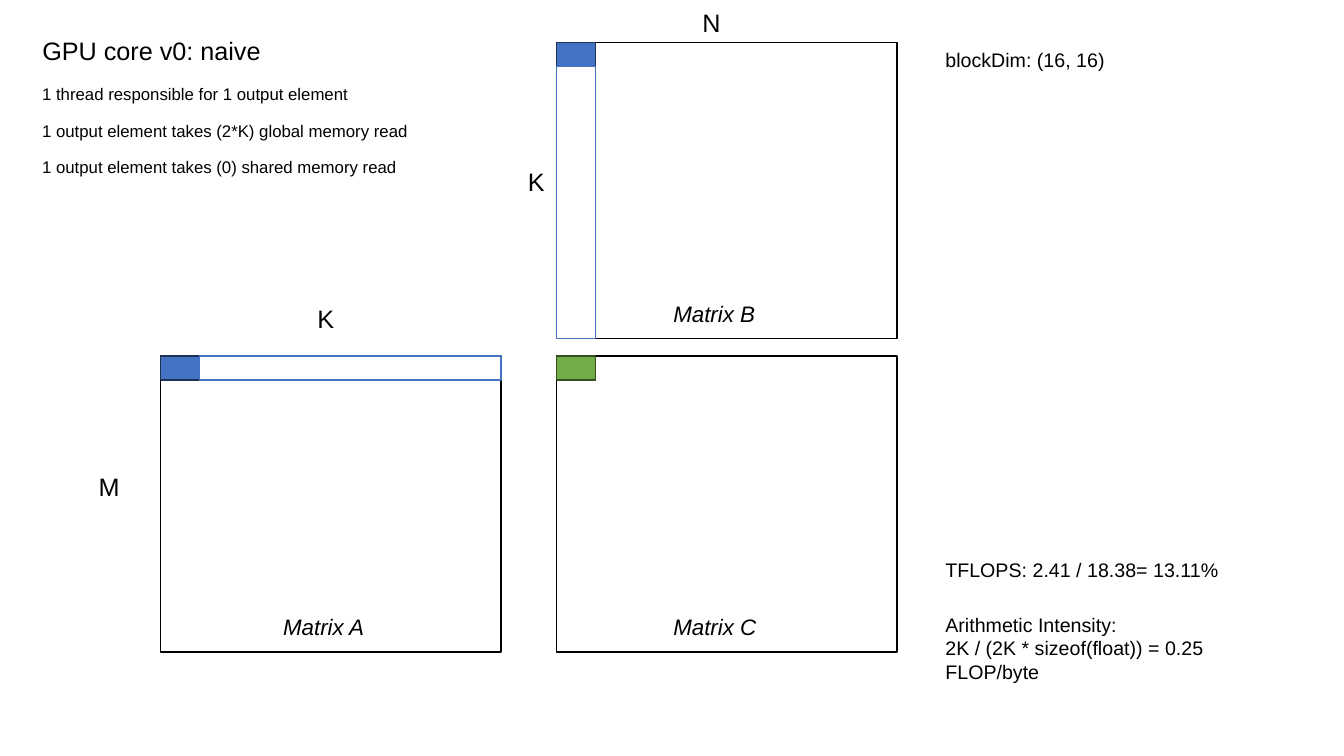
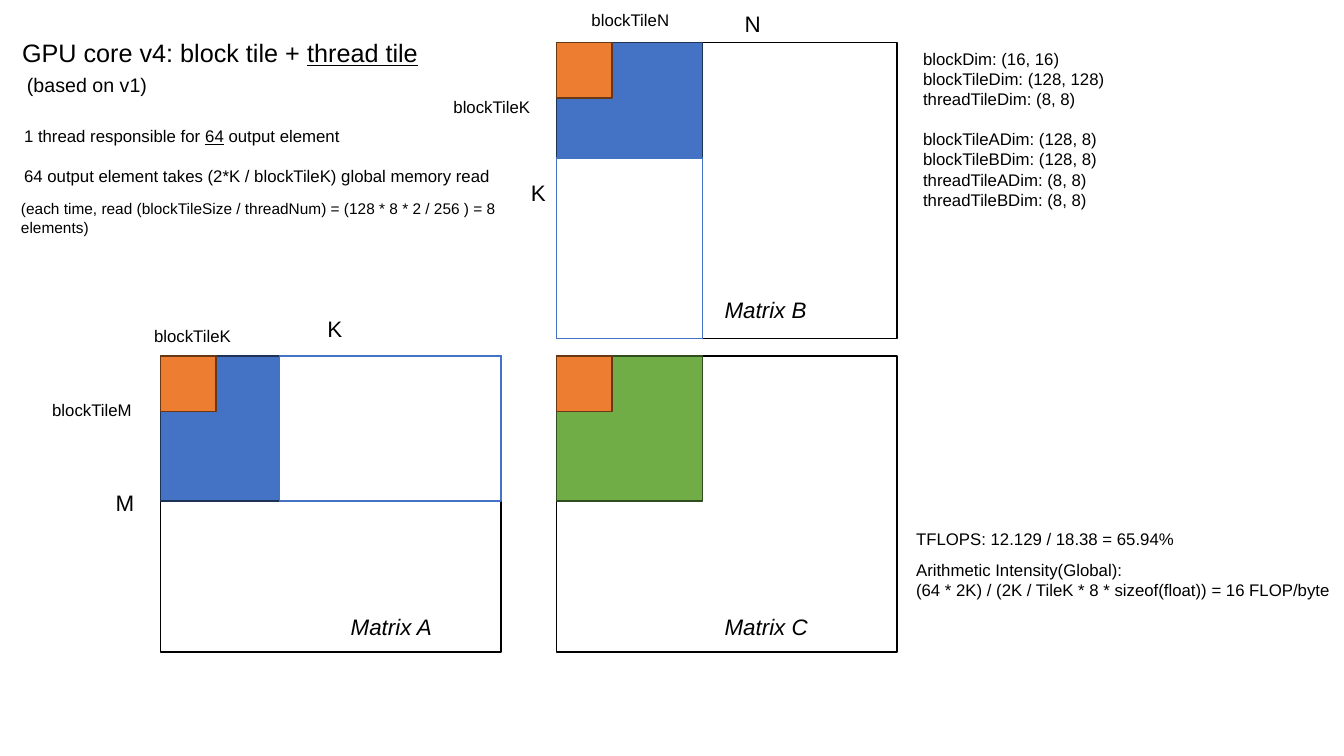
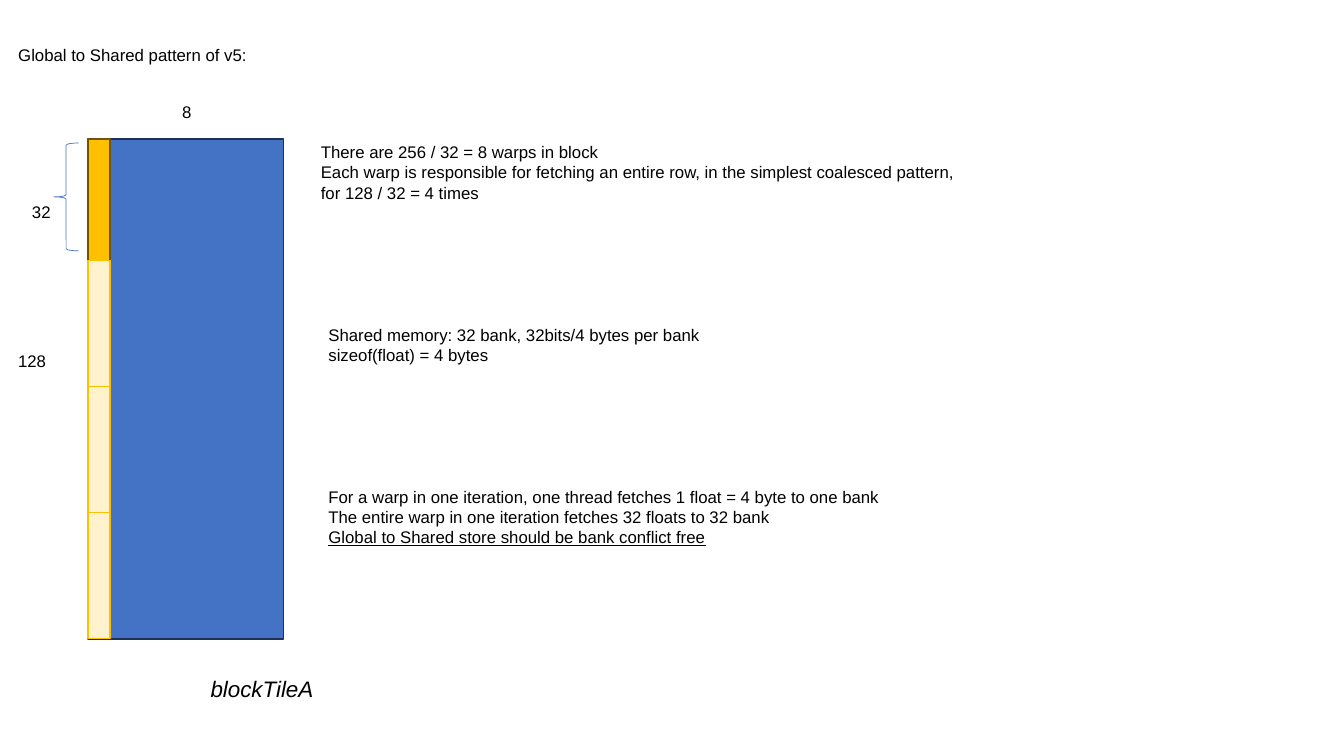
"""Build three slides on tiled matrix multiplication."""
from dataclasses import dataclass

from pptx import Presentation
from pptx.dml.color import RGBColor
from pptx.enum import shapes, text
from pptx.util import Pt

FONT = "Arial"
TITLE_ONLY = 5
COLORS = {
    "black": "000000",
    "white": "FFFFFF",
    "blue": "4472C4",
    "navy": "1E3256",
    "green": "70AD47",
    "forest": "314C1F",
    "orange": "ED7D31",
    "brown": "683715",
    "gold": "FFC000",
    "bronze": "705400",
    "cream": "FFF2CC",
}

MATRIX_W, MATRIX_H = 243.4, 211.7
LEFT_A, LEFT_BC = 114.5, 397.4
TOP_B, TOP_AC = 30.2, 254.2
MATRICES = ((LEFT_BC, TOP_B), (LEFT_BC, TOP_AC), (LEFT_A, TOP_AC))
THREAD_TILE = 39.8


@dataclass(frozen=True)
class Label:
    """A text box whose parts between bars are underlined."""
    left: float
    top: float
    width: float
    height: float
    paras: tuple[str, ...]
    size: float = 12
    italic: bool = False
    gap_before: int | None = None


@dataclass(frozen=True)
class Block:
    """A filled and outlined rectangle."""
    left: float
    top: float
    width: float
    height: float
    fill: str
    line: str


def color(name: str) -> RGBColor:
    """Return a palette colour."""
    return RGBColor.from_string(COLORS[name])


def write(frame, label: Label) -> None:
    """Fill and format a text frame."""
    frame.word_wrap = True
    frame.auto_size = text.MSO_AUTO_SIZE.NONE
    frame.vertical_anchor = text.MSO_ANCHOR.TOP
    frame.text = "\n".join(line.replace("|", "") for line in label.paras)
    for index, (para, line) in enumerate(zip(frame.paragraphs, label.paras)):
        para.alignment = text.PP_ALIGN.LEFT
        if index == label.gap_before:
            para.space_before = Pt(14.4)
        if "|" in line:
            para.clear()
            for part, words in enumerate(line.split("|")):
                if words:
                    span = para.add_run()
                    span.text = words
                    span.font.underline = part % 2 == 1
        for span in para.runs:
            span.font.name = FONT
            span.font.size = Pt(label.size)
            span.font.italic = label.italic
            span.font.color.rgb = color("black")


def add_label(page, label: Label) -> None:
    """Add a text box."""
    box = page.shapes.add_textbox(
        Pt(label.left), Pt(label.top), Pt(label.width), Pt(label.height))
    write(box.text_frame, label)


def add_block(page, block: Block) -> None:
    """Add a rectangle."""
    box = page.shapes.add_shape(
        shapes.MSO_SHAPE.RECTANGLE,
        Pt(block.left), Pt(block.top), Pt(block.width), Pt(block.height))
    box.shadow.inherit = False
    box.fill.solid()
    box.fill.fore_color.rgb = color(block.fill)
    box.line.color.rgb = color(block.line)
    box.line.width = Pt(1)


def add_page(deck, title: Label):
    """Add a title-only slide with its title placed."""
    page = deck.slides.add_slide(deck.slide_layouts[TITLE_ONLY])
    holder = page.shapes.title
    holder.left, holder.top = Pt(title.left), Pt(title.top)
    holder.width, holder.height = Pt(title.width), Pt(title.height)
    write(holder.text_frame, title)
    return page


def add_matrices(page, tile_m: float, tile_n: float,
                 tile_k_a: float, tile_k_b: float) -> None:
    """Draw matrices A, B and C with their first tiles and strips."""
    for left, top in MATRICES:
        add_block(page, Block(left, top, MATRIX_W, MATRIX_H, "white", "black"))
    for block in (
        Block(LEFT_A, TOP_AC, tile_k_a, tile_m, "blue", "navy"),
        Block(LEFT_BC, TOP_B, tile_n, tile_k_b, "blue", "navy"),
        Block(LEFT_A + tile_k_a, TOP_AC, MATRIX_W - tile_k_a, tile_m,
              "white", "blue"),
        Block(LEFT_BC, TOP_B + tile_k_b, tile_n, MATRIX_H - tile_k_b,
              "white", "blue"),
        Block(LEFT_BC, TOP_AC, tile_n, tile_m, "green", "forest"),
    ):
        add_block(page, block)


def add_naive_page(deck) -> None:
    """Build the naive kernel slide."""
    page = add_page(deck, Label(23, 21.6, 263.5, 29,
                                ("GPU core v0: naive",), 18))
    add_matrices(page, 17.3, 28.1, 28.1, 17.3)
    for label in (
        Label(370, 115.2, 23, 29, ("K",), 18),
        Label(219.6, 213.1, 23, 29, ("K",), 18),
        Label(63.4, 332.8, 31, 29, ("M",), 18),
        Label(494.6, 1.4, 31, 29, ("N",), 18),
        Label(23, 56.2, 392.4, 21.6,
              ("1 thread responsible for 1 output element",)),
        Label(23, 82.8, 392.4, 21.6,
              ("1 output element takes (2*K) global memory read",)),
        Label(23, 108.7, 392.4, 21.6,
              ("1 output element takes (0) shared memory read",)),
        Label(668.2, 31, 268.6, 24.5, ("blockDim: (16, 16)",), 14),
        Label(668.2, 395.3, 268.6, 24.5,
              ("TFLOPS: 2.41 / 18.38= 13.11%",), 14),
        Label(668.2, 434.2, 268.6, 41,
              ("Arithmetic Intensity:",
               "2K / (2K * sizeof(float)) = 0.25 FLOP/byte"), 14),
        Label(195.1, 434.5, 121.7, 26.6, ("Matrix A",), 16, True),
        Label(473.8, 211, 121.7, 26.6, ("Matrix B",), 16, True),
        Label(473.8, 434.5, 121.7, 26.6, ("Matrix C",), 16, True),
    ):
        add_label(page, label)


def add_thread_tile_page(deck) -> None:
    """Build the block and thread tile slide."""
    page = add_page(deck, Label(8.6, 23, 315.4, 29,
                                ("GPU core v4: block tile + |thread tile|",),
                                18))
    add_matrices(page, 103.7, 104.4, 85, 82.8)
    for left, top in MATRICES:
        add_block(page, Block(left, top, THREAD_TILE, THREAD_TILE,
                              "orange", "brown"))
    for label in (
        Label(372.2, 124.6, 23, 26.6, ("K",), 16),
        Label(226.8, 221.8, 23, 26.6, ("K",), 16),
        Label(75.6, 345.6, 31, 26.6, ("M",), 16),
        Label(524.9, 3.6, 31, 26.6, ("N",), 16),
        Label(103, 229, 103.7, 21.6, ("blockTileK",)),
        Label(316.8, 65.5, 95, 21.6, ("blockTileK",)),
        Label(30.2, 282.2, 90.7, 21.6, ("blockTileM",)),
        Label(415.4, 3.6, 82.8, 21.6, ("blockTileN",)),
        Label(243.4, 434.5, 121.7, 26.6, ("Matrix A",), 16, True),
        Label(510.5, 208.1, 121.7, 26.6, ("Matrix B",), 16, True),
        Label(510.5, 434.5, 121.7, 26.6, ("Matrix C",), 16, True),
        Label(12.2, 48.6, 392.4, 24.5, ("(based on v1)",), 14),
        Label(10.1, 86.4, 392.4, 21.6,
              ("1 thread responsible for |64| output element",)),
        Label(10.1, 115, 392.4, 21.6,
              ("64 output element takes (2*K / blockTileK) "
               "global memory read",)),
        Label(7.9, 139, 392.4, 33.8,
              ("(each time, read (blockTileSize / threadNum) = "
               "(128 * 8 * 2 / 256 ) = 8 elements)",), 11),
        Label(652.3, 31, 268.6, 123.8,
              ("blockDim: (16, 16)", "blockTileDim: (128, 128)",
               "threadTileDim: (8, 8)", "blockTileADim: (128, 8)",
               "blockTileBDim: (128, 8)", "threadTileADim: (8, 8)",
               "threadTileBDim: (8, 8)"), gap_before=3),
        Label(647.3, 374.4, 268.6, 21.6,
              ("TFLOPS: 12.129 / 18.38 = 65.94%",)),
        Label(647.3, 396, 331.2, 36,
              ("Arithmetic Intensity(Global):",
               "(64 * 2K) / (2K / TileK * 8 * sizeof(float)) "
               "= 16 FLOP/byte")),
    ):
        add_label(page, label)


def add_shared_store_page(deck) -> None:
    """Build the global to shared memory slide."""
    page = add_page(deck, Label(5.8, 28.4, 262.8, 21.6,
                                ("Global to Shared pattern of v5:",)))
    tile_left, tile_top, warp_width = 62.8, 99.4, 15.8
    first_end, step = 186, 90
    add_block(page, Block(tile_left, tile_top, 139.7, 357, "blue", "navy"))
    add_block(page, Block(tile_left, tile_top, warp_width,
                          first_end - tile_top, "gold", "bronze"))
    for index in range(3):
        add_block(page, Block(tile_left, first_end + index * step,
                              warp_width, step, "cream", "gold"))
    brace = page.shapes.add_shape(shapes.MSO_SHAPE.LEFT_BRACE,
                                  Pt(38.2), Pt(102.2), Pt(18), Pt(77))
    brace.shadow.inherit = False
    brace.fill.background()
    brace.line.color.rgb = color("blue")
    brace.line.width = Pt(0.5)
    for label in (
        Label(143.3, 478.8, 121.7, 26.6, ("blockTileA",), 16, True),
        Label(123.1, 69.1, 21.6, 21.6, ("8",)),
        Label(15.8, 140.4, 61.9, 21.6, ("32",)),
        Label(5.8, 247, 61.9, 21.6, ("128",)),
        Label(222.1, 97.9, 482.4, 51,
              ("There are 256 / 32 = 8 warps in block",
               "Each warp is responsible for fetching an entire row, "
               "in the simplest coalesced pattern, for 128 / 32 = 4 times")),
        Label(227.5, 228.2, 482.4, 36,
              ("Shared memory: 32 bank, 32bits/4 bytes per bank",
               "sizeof(float) = 4 bytes")),
        Label(227.5, 344.2, 482.4, 51,
              ("For a warp in one iteration, one thread fetches "
               "1 float = 4 byte to one bank",
               "The entire warp in one iteration fetches "
               "32 floats to 32 bank",
               "|Global to Shared store should be bank conflict free|")),
    ):
        add_label(page, label)


def main() -> None:
    """Build and save the deck."""
    deck = Presentation()
    deck.slide_width, deck.slide_height = Pt(960), Pt(540)
    add_naive_page(deck)
    add_thread_tile_page(deck)
    add_shared_store_page(deck)
    deck.save("out.pptx")


if __name__ == "__main__":
    main()
